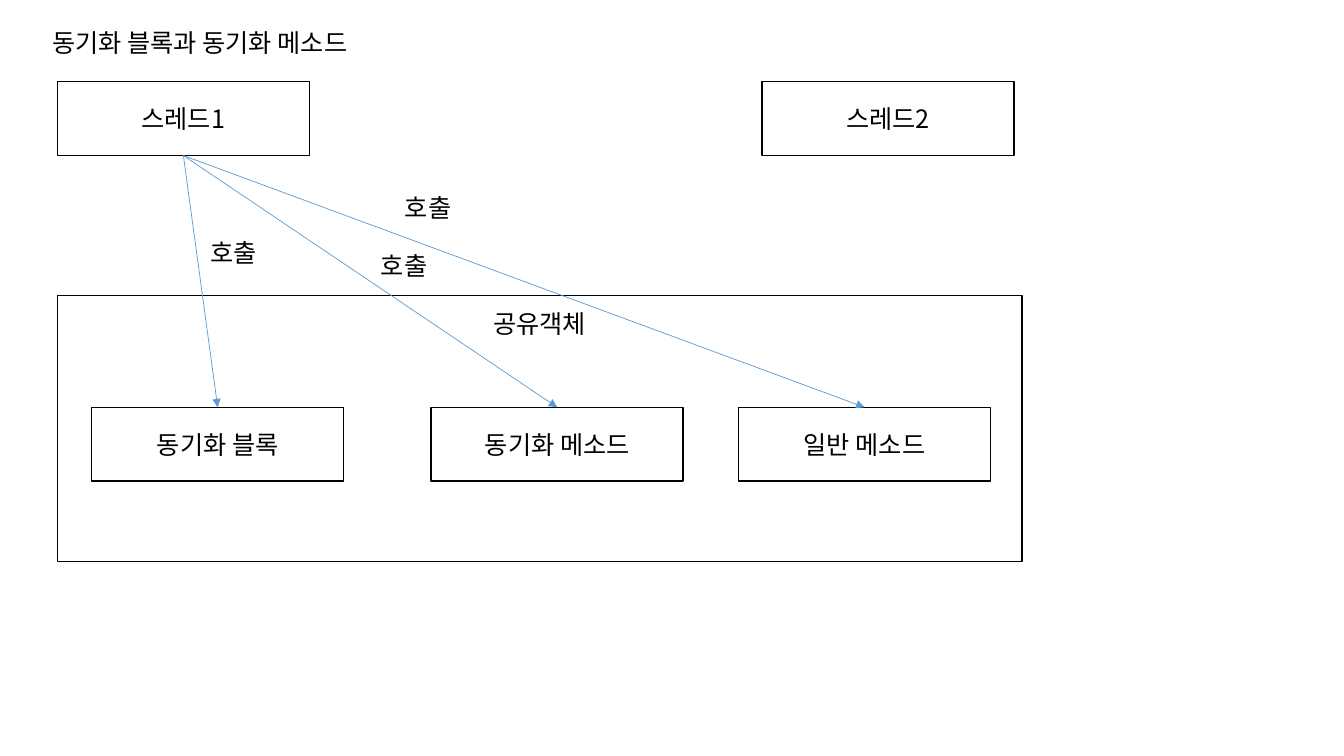
from lxml import etree
from pptx import Presentation
from pptx.dml.color import RGBColor
from pptx.enum.shapes import MSO_CONNECTOR, MSO_SHAPE
from pptx.enum.text import MSO_ANCHOR, MSO_AUTO_SIZE, PP_ALIGN
from pptx.oxml.ns import qn
from pptx.util import Pt

BLACK = RGBColor(0x00, 0x00, 0x00)
BLUE = RGBColor(0x5B, 0x9B, 0xD5)
FONT = "Noto Sans CJK KR"
RECT = MSO_SHAPE.RECTANGLE
LINE = MSO_CONNECTOR.STRAIGHT
TOP, MIDDLE = MSO_ANCHOR.TOP, MSO_ANCHOR.MIDDLE
CENTER = PP_ALIGN.CENTER
GROW = MSO_AUTO_SIZE.SHAPE_TO_FIT_TEXT
BOX_W, BOX_H = 180, 52.8
LABEL_H = 28.8
BOTTOM_SITE, TOP_SITE = 2, 0


def add_run(para, text):
    """Add a black run in the slide font for Latin and Korean text."""
    run = para.add_run()
    run.text = text
    font = run.font
    font.name, font.size = FONT, Pt(18)
    font.color.rgb = BLACK
    east = etree.SubElement(run._r.get_or_add_rPr(), qn("a:ea"))
    east.set("typeface", FONT)


def add_label(slide, text, left, top, width):
    """Add an unwrapped text label."""
    label = slide.shapes.add_textbox(Pt(left), Pt(top), Pt(width), Pt(LABEL_H))
    frame = label.text_frame
    frame.word_wrap = False
    frame.auto_size = GROW
    add_run(frame.paragraphs[0], text)


def add_box(slide, text, left, top, width=BOX_W, height=BOX_H, anchor=MIDDLE):
    """Add an outlined box with centred text and return it."""
    box = slide.shapes.add_shape(RECT, Pt(left), Pt(top), Pt(width), Pt(height))
    box.shadow.inherit = False
    box.fill.background()
    box.line.color.rgb = BLACK
    box.line.width = Pt(1)
    frame = box.text_frame
    frame.word_wrap = True
    frame.vertical_anchor = anchor
    para = frame.paragraphs[0]
    para.alignment = CENTER
    add_run(para, text)
    return box


def add_arrow(slide, start, end):
    """Join the bottom of one box to the top of another with an arrow."""
    arrow = slide.shapes.add_connector(LINE, 0, 0, 0, 0)
    arrow.begin_connect(start, BOTTOM_SITE)
    arrow.end_connect(end, TOP_SITE)
    arrow.line.color.rgb = BLUE
    arrow.line.width = Pt(0.5)
    tip = etree.SubElement(arrow.line._get_or_add_ln(), qn("a:tailEnd"))
    tip.set("type", "triangle")
    etree.SubElement(arrow._element.spPr, qn("a:effectLst"))


def main():
    """Build the slide on synchronized blocks and methods."""
    deck = Presentation()
    deck.slide_width, deck.slide_height = Pt(960), Pt(540)
    blank = deck.slide_layouts[6]
    slide = deck.slides.add_slide(blank)

    add_label(slide, "동기화 블록과 동기화 메소드", 30.2, 15.8, 252)
    caller = add_box(slide, "스레드1", 41, 58.3)
    add_box(slide, "스레드2", 544.3, 58.3)
    shared = add_box(slide, "공유객체", 41, 211, 689, 190, TOP)
    shared.text_frame.margin_top = Pt(9)

    members = (("동기화 블록", 65.5), ("동기화 메소드", 308), ("일반 메소드", 527.5))
    targets = [add_box(slide, text, left, 290.9) for text, left in members]
    for target in targets:
        add_arrow(slide, caller, target)
    for left, top in ((265, 175), (282.2, 134), (143.3, 166.3)):
        add_label(slide, "호출", left, top, 51)

    deck.save("out.pptx")


if __name__ == "__main__":
    main()
